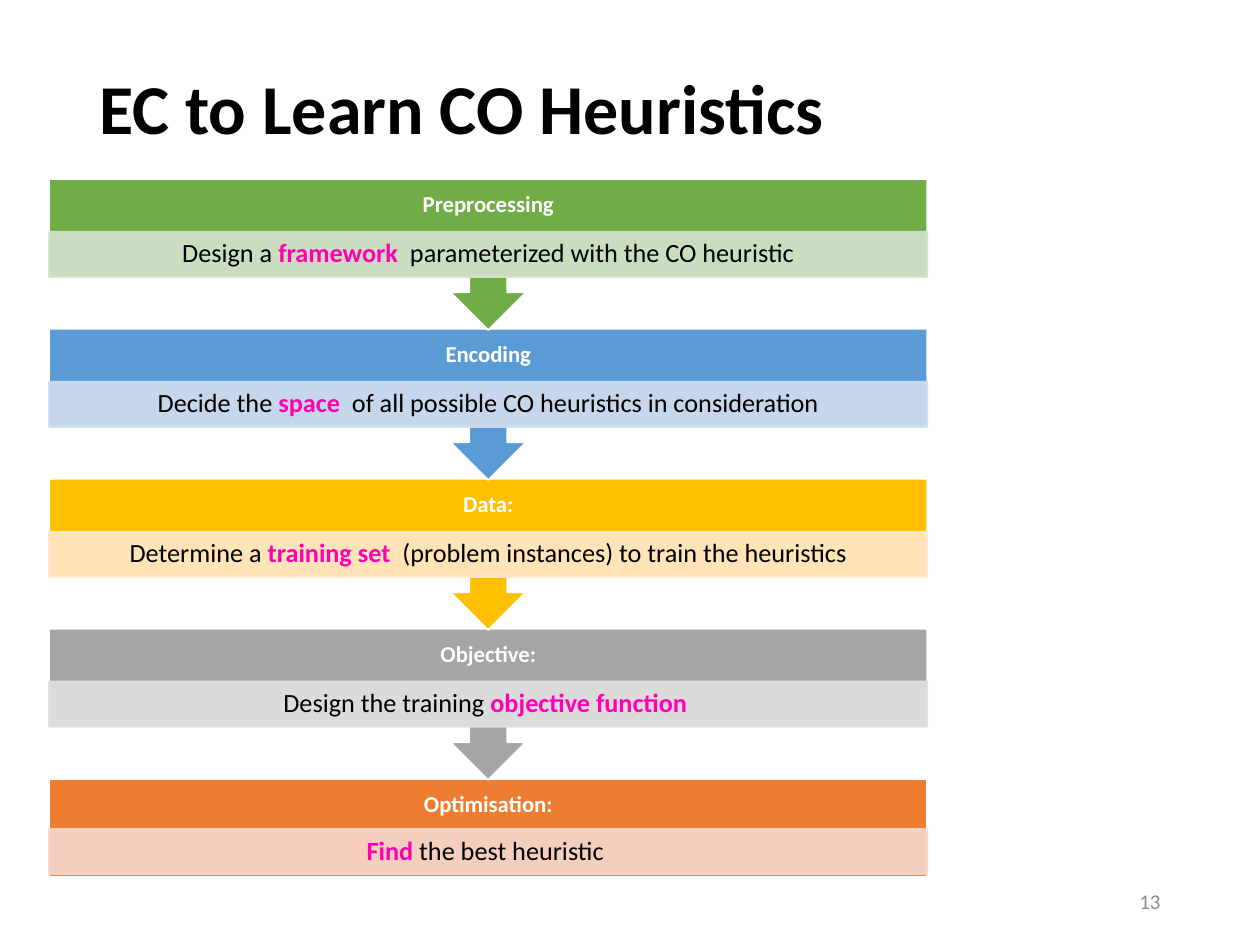
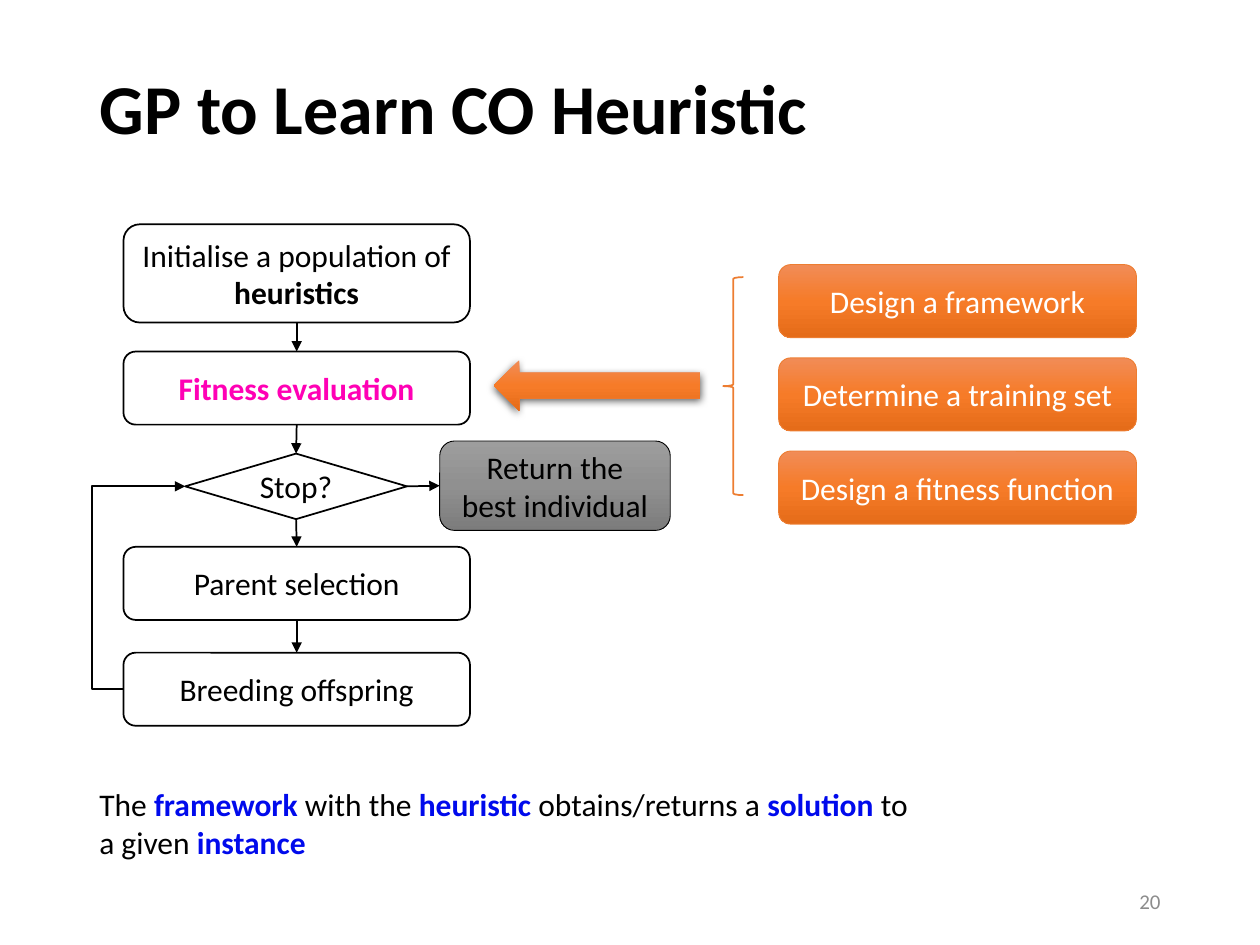
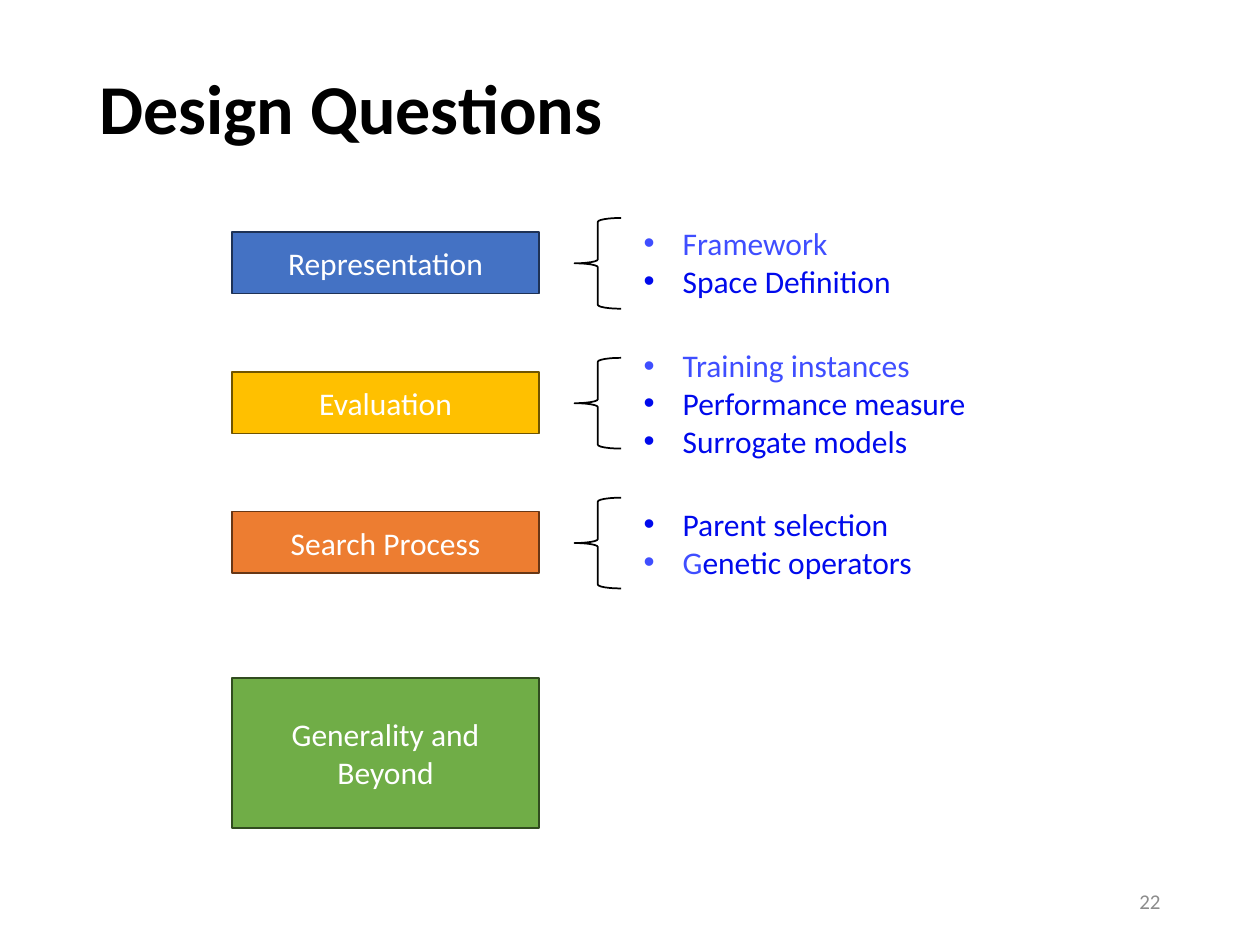
import copy

import lxml.etree
import pptx
import pptx.dml.color
import pptx.enum.shapes
import pptx.enum.text
import pptx.oxml.ns
import pptx.util

Inches = pptx.util.Inches
Pt = pptx.util.Pt
qn = pptx.oxml.ns.qn
SHAPE = pptx.enum.shapes.MSO_SHAPE
CONNECTOR = pptx.enum.shapes.MSO_CONNECTOR
ALIGN = pptx.enum.text.PP_ALIGN
ANCHOR = pptx.enum.text.MSO_ANCHOR

FONT = "Calibri"
BLACK, WHITE, GREY_TEXT = "000000", "FFFFFF", "8C8C8C"
PINK, BLUE, LIGHT_BLUE = "FF00B5", "000AEC", "3F4EFF"
GREEN, ORANGE, GOLD = "70AD47", "ED7D31", "FFC000"
ORANGE_GRADIENT = ("F18C57", "F67B28", "E56C19")
GREY_GRADIENT = ("9D9D9D", "909090", "7C7C7C")
TOP, LEFT, BOTTOM, RIGHT = range(4)  # connection sites of a shape


def rgb(colour):
    return pptx.dml.color.RGBColor.from_string(colour)


def add_xml(parent, tag, **attributes):
    child = lxml.etree.SubElement(parent, qn(tag))
    for name, value in attributes.items():
        child.set(name, str(value))
    return child


def add_runs(paragraph, runs, size, colour=BLACK):
    """Add runs given as plain strings or as (text, colour, bold)."""
    for item in runs:
        text, run_colour, bold = (item, colour, False) if isinstance(item, str) else item
        run = paragraph.add_run()
        run.text = text
        run.font.name = FONT
        run.font.size = Pt(size)
        run.font.bold = bold
        run.font.color.rgb = rgb(run_colour)


def write_text(shape, runs, size=18, colour=BLACK, align=ALIGN.CENTER,
               anchor=ANCHOR.MIDDLE, spacing=1.0, margins=(0.1, 0.05)):
    frame = shape.text_frame
    frame.word_wrap = True
    frame.auto_size = pptx.enum.text.MSO_AUTO_SIZE.NONE
    frame.vertical_anchor = anchor
    frame.margin_left = frame.margin_right = Inches(margins[0])
    frame.margin_top = frame.margin_bottom = Inches(margins[1])
    paragraph = frame.paragraphs[0]
    paragraph.alignment = align
    paragraph.line_spacing = spacing
    add_runs(paragraph, runs, size, colour)


def add_text(slide, box, runs, **style):
    shape = slide.shapes.add_textbox(*map(Inches, box))
    write_text(shape, runs, **style)


def set_gradient(shape, colours):
    fill = shape.fill
    fill.gradient()
    fill.gradient_angle = 270
    stops = shape._element.spPr.find(".//" + qn("a:gsLst"))
    stops.append(copy.deepcopy(stops[-1]))
    for stop, position, colour in zip(fill.gradient_stops, (0, 0.5, 1), colours):
        stop.position = position
        stop.color.rgb = rgb(colour)


def add_shape(slide, kind, box, fill=None, line=None, width=1):
    """Add a shape; fill is a colour, a gradient of three colours or None."""
    shape = slide.shapes.add_shape(kind, *map(Inches, box))
    shape.shadow.inherit = False
    if fill is None:
        shape.fill.background()
    elif isinstance(fill, tuple):
        set_gradient(shape, fill)
    else:
        shape.fill.solid()
        shape.fill.fore_color.rgb = rgb(fill)
    if line is None:
        shape.line.fill.background()
    else:
        shape.line.color.rgb = rgb(line)
        shape.line.width = Pt(width)
    return shape


def set_opacity(shape, percent):
    for colour in shape._element.spPr.iter(qn("a:srgbClr")):
        add_xml(colour, "a:alpha", val=percent * 1000)


def add_soft_shadow(shape):
    effects = shape._element.spPr.find(qn("a:effectLst"))
    shadow = add_xml(effects, "a:outerShdw", blurRad=Pt(4.5), dist=Pt(1.5),
                     dir=5400000, algn="ctr", rotWithShape=0)
    add_xml(add_xml(shadow, "a:srgbClr", val=BLACK), "a:alpha", val=63000)


def add_arrow(slide, kind, start=(0, 0), end=(0, 0)):
    arrow = slide.shapes.add_connector(kind, *map(Inches, start + end))
    arrow.line.color.rgb = rgb(BLACK)
    arrow.line.width = Pt(1)
    add_xml(arrow._element.spPr.find(qn("a:ln")), "a:tailEnd", type="triangle")
    add_xml(arrow._element.spPr, "a:effectLst")
    return arrow


def join(slide, source, source_site, target, target_site):
    arrow = add_arrow(slide, CONNECTOR.STRAIGHT)
    arrow.begin_connect(source, source_site)
    arrow.end_connect(target, target_site)


def add_bullets(slide, box, items):
    frame = slide.shapes.add_textbox(*map(Inches, box)).text_frame
    frame.word_wrap = True
    for index, runs in enumerate(items):
        paragraph = frame.add_paragraph() if index else frame.paragraphs[0]
        properties = paragraph._p.get_or_add_pPr()
        properties.set("marL", str(Inches(0.31)))
        properties.set("indent", str(-Inches(0.31)))
        add_xml(properties, "a:buFont", typeface="Arial")
        add_xml(properties, "a:buChar", char="•")
        add_runs(paragraph, runs, 18, BLUE)


def new_slide(presentation, title, number):
    slide = presentation.slides.add_slide(presentation.slide_layouts[5])
    heading = slide.shapes.title
    heading.left, heading.top, heading.width, heading.height = map(
        Inches, (0.69, 0.4, 8.62, 0.97))
    write_text(heading, [(title, BLACK, True)], size=40, align=ALIGN.LEFT, spacing=0.9)
    add_text(slide, (7.06, 6.95, 2.25, 0.4), [str(number)], size=12,
             colour=GREY_TEXT, align=ALIGN.RIGHT)
    return slide


def add_step(slide, top, label, runs, colour, tint, is_last):
    left, width = 0.39, 6.97
    if is_last:
        add_shape(slide, SHAPE.RECTANGLE, (left, top, width, 0.78), colour, WHITE)
    else:
        callout = add_shape(slide, SHAPE.UP_ARROW_CALLOUT, (left, top, width, 1.2),
                            colour, WHITE)
        callout.rotation = 180
    add_text(slide, (left, top, width, 0.42), [(label, WHITE, True)], size=13,
             spacing=0.9, margins=(0.1, 0.1))
    detail_top = top + (0.4 if is_last else 0.42)
    detail = add_shape(slide, SHAPE.RECTANGLE, (left, detail_top, width, 0.36), tint, tint)
    set_opacity(detail, 90)
    write_text(detail, runs, size=15, spacing=0.9, margins=(0.12, 0.02))


def build_learning_steps(presentation):
    slide = new_slide(presentation, "EC to Learn CO Heuristics", 13)
    steps = [
        ("Preprocessing", ["Design a ", ("framework ", PINK, True),
                           " parameterized with the CO heuristic"], GREEN, "D5E3CF"),
        ("Encoding", ["Decide the ", ("space ", PINK, True),
                      " of all possible CO heuristics in consideration"],
         "5B9BD5", "D2DEEF"),
        ("Data:", ["Determine a ", ("training set ", PINK, True),
                   " (problem instances) to train the heuristics"], GOLD, "FFE8CC"),
        ("Objective:", ["Design the training ", ("objective function ", PINK, True)],
         "A5A5A5", "E1E1E1"),
        ("Optimisation:", [("Find", PINK, True), " the best heuristic "],
         ORANGE, "F8D7CE"),
    ]
    for index in reversed(range(len(steps))):
        add_step(slide, 1.42 + 1.19 * index, *steps[index],
                 is_last=index == len(steps) - 1)


def build_flowchart(presentation):
    slide = new_slide(presentation, "GP to Learn CO Heuristic", 20)

    def add_node(box, runs, kind=SHAPE.ROUNDED_RECTANGLE):
        node = add_shape(slide, kind, box, WHITE, BLACK)
        write_text(node, runs)
        return node

    initialise = add_node((0.98, 1.78, 2.75, 0.78),
                          ["Initialise a population of ", ("heuristics", BLACK, True)])
    evaluation = add_node((0.98, 2.79, 2.75, 0.58), [("Fitness evaluation", PINK, True)])
    stop = add_node((1.47, 3.6, 1.76, 0.52), ["Stop?"], SHAPE.DIAMOND)
    selection = add_node((0.98, 4.34, 2.75, 0.58), ["Parent selection"])
    breeding = add_node((0.98, 5.18, 2.75, 0.58), ["Breeding offspring"])
    result = add_shape(slide, SHAPE.ROUNDED_RECTANGLE, (3.49, 3.5, 1.83, 0.71),
                       GREY_GRADIENT, BLACK, 0.5)
    write_text(result, ["Return the best individual"])

    flow = [initialise, evaluation, stop, selection, breeding]
    for source, target in zip(flow, flow[1:]):
        join(slide, source, BOTTOM, target, TOP)
    join(slide, stop, RIGHT, result, LEFT)
    loop = add_arrow(slide, CONNECTOR.ELBOW, (0.98, 5.47), (1.47, 3.86))
    guides = loop._element.spPr.find(".//" + qn("a:avLst"))
    add_xml(guides, "a:gd", name="adj1", fmla="val -50700")

    designs = ["Design a framework", "Determine a training set", "Design a fitness function"]
    for index, text in enumerate(designs):
        design = add_shape(slide, SHAPE.ROUNDED_RECTANGLE,
                           (6.18, 2.1 + 0.74 * index, 2.84, 0.58),
                           ORANGE_GRADIENT, ORANGE, 0.5)
        write_text(design, [text], colour=WHITE)
    add_shape(slide, SHAPE.LEFT_BRACE, (5.74, 2.2, 0.16, 1.73), line=ORANGE)
    add_soft_shadow(add_shape(slide, SHAPE.LEFT_ARROW, (3.92, 2.86, 1.64, 0.4),
                              ORANGE_GRADIENT))

    add_text(slide, (0.69, 6.18, 6.63, 0.71),
             ["The ", ("framework", BLUE, True), " with the ", ("heuristic ", BLUE, True),
              "obtains/returns a ", ("solution", BLUE, True), " to a given ",
              ("instance", BLUE, True)],
             align=ALIGN.LEFT, anchor=ANCHOR.TOP)


def build_design_questions(presentation):
    slide = new_slide(presentation, "Design Questions", 22)

    def add_topic(top, height, text, fill, line):
        topic = add_shape(slide, SHAPE.RECTANGLE, (1.84, top, 2.44, height), fill, line)
        write_text(topic, [text], colour=WHITE)

    questions = [
        ("Representation", "4472C4", "1E3256", 1.73,
         [[("Framework", LIGHT_BLUE, False)], ["Space Definition"]]),
        ("Evaluation", GOLD, "705400", 2.7,
         [[("Training instances", LIGHT_BLUE, False)], ["Performance measure"],
          ["Surrogate models"]]),
        ("Search Process", ORANGE, "683715", 3.96,
         [["Parent selection"], [("G", LIGHT_BLUE, False), "enetic operators"]]),
    ]
    for index, (text, fill, line, list_top, items) in enumerate(questions):
        offset = 1.11 * index
        add_topic(1.84 + offset, 0.49, text, fill, line)
        add_shape(slide, SHAPE.LEFT_BRACE, (4.56, 1.73 + offset, 0.37, 0.72), line=BLACK)
        add_bullets(slide, (5.01, list_top, 3.21, 0.1 + 0.3 * len(items)), items)
    add_topic(5.38, 1.19, "Generality and Beyond", GREEN, "314C1F")


def main():
    presentation = pptx.Presentation()
    presentation.slide_width = Inches(10)
    presentation.slide_height = Inches(7.5)
    build_learning_steps(presentation)
    build_flowchart(presentation)
    build_design_questions(presentation)
    presentation.save("out.pptx")


if __name__ == "__main__":
    main()
